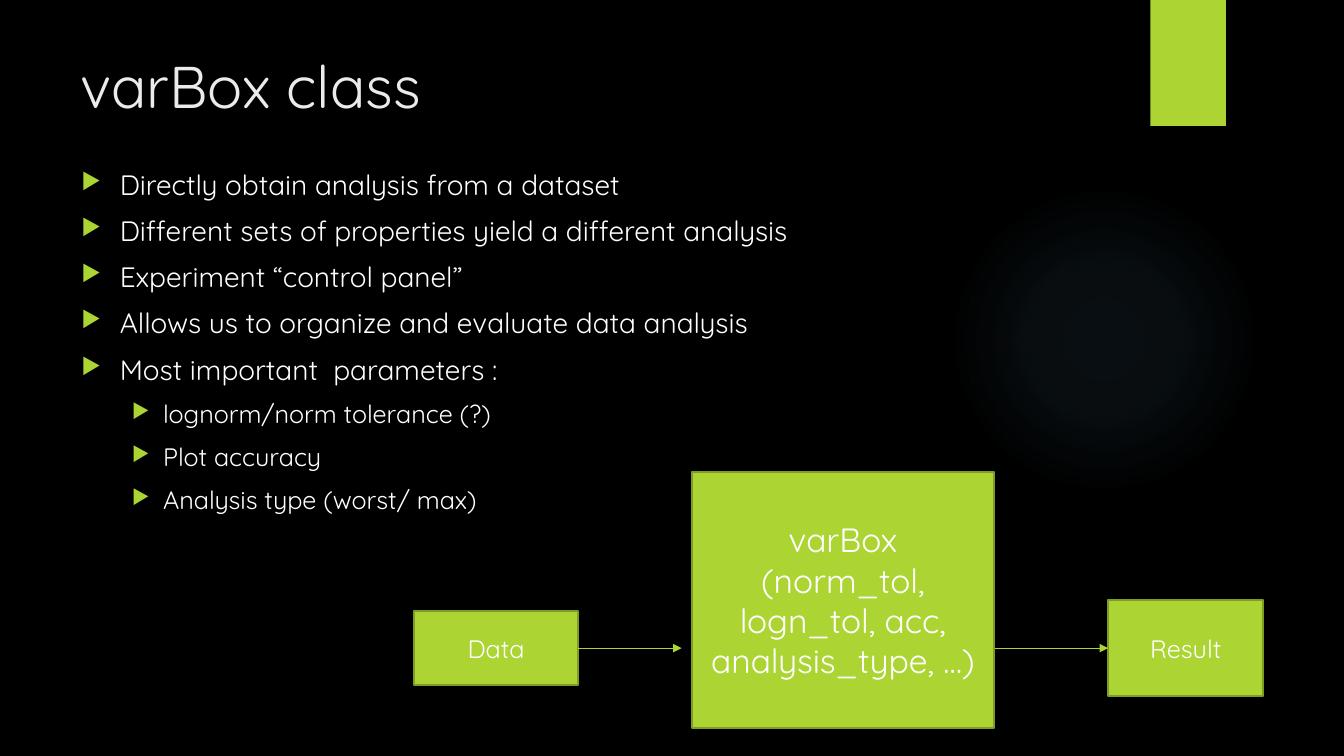
from lxml import etree
from pptx import Presentation
from pptx.dml.color import RGBColor
from pptx.enum.shapes import MSO_CONNECTOR as Connector, MSO_SHAPE as Shape
from pptx.enum.text import MSO_ANCHOR as Anchor, PP_ALIGN as Align
from pptx.oxml import parse_xml
from pptx.oxml.ns import nsdecls, qn
from pptx.util import Inches, Pt


def rgb(value):
    return RGBColor.from_string(value)


def add_xml(parent, tag, **attributes):
    return etree.SubElement(parent, qn(tag), attributes)


class Deck:
    FONT = "Quicksand"
    LIME, OLIVE, WHITE, TITLE = "ACD433", "7F9D26", "FFFFFF", "EBEBEB"

    def __init__(self, slide):
        self.slide = slide
        background = slide.background.fill
        background.solid()
        background.fore_color.rgb = rgb("000000")

    def shape(self, kind, box):
        shape = self.slide.shapes.add_shape(kind, *map(Inches, box))
        shape.shadow.inherit = False
        shape.line.fill.background()
        return shape

    def glow(self, box, color, stops):
        """Ellipse with a radial fade; stops are (position %, opacity %)."""
        properties = self.shape(Shape.OVAL, box)._element.spPr
        steps = "".join(
            f'<a:gs pos="{position * 1000}"><a:srgbClr val="{color}">'
            f'<a:alpha val="{opacity * 1000}"/></a:srgbClr></a:gs>'
            for position, opacity in stops)
        fade = parse_xml(
            f'<a:gradFill {nsdecls("a")}><a:gsLst>{steps}</a:gsLst>'
            '<a:path path="circle"><a:fillToRect l="50000" t="50000" r="50000" b="50000"/>'
            '</a:path></a:gradFill>')
        properties.find(qn("a:prstGeom")).addnext(fade)

    def block(self, box):
        block = self.shape(Shape.RECTANGLE, box)
        block.fill.solid()
        block.fill.fore_color.rgb = rgb(self.LIME)
        return block

    def node(self, box, lines, size):
        node = self.block(box)
        node.line.color.rgb = rgb(self.OLIVE)
        node.line.width = Pt(1.5)
        node.text_frame.vertical_anchor = Anchor.MIDDLE
        self.set_lines(node.text_frame, lines, size, self.WHITE, alignment=Align.CENTER)
        return node

    def set_lines(self, frame, lines, size, color, **paragraph_format):
        frame.word_wrap = True
        for index, line in enumerate(lines):
            paragraph = frame.paragraphs[0] if index == 0 else frame.add_paragraph()
            for name, value in paragraph_format.items():
                setattr(paragraph, name, value)
            run = paragraph.add_run()
            run.text = line
            font = {"name": self.FONT, "size": Pt(size), "bold": False}
            for name, value in font.items():
                setattr(run.font, name, value)
            run.font.color.rgb = rgb(color)

    def text_frame(self, box):
        return self.slide.shapes.add_textbox(*map(Inches, box)).text_frame

    def title(self, box, text):
        self.set_lines(self.text_frame(box), [text], 42, self.TITLE)

    def bullets(self, box, items):
        """Bulleted list; items are (level, text)."""
        frame = self.text_frame(box)
        self.set_lines(frame, [text for _, text in items], 20, self.WHITE,
                       space_before=Pt(9))
        styles = {0: (20, 0.38, 0.38), 1: (18, 0.81, 0.31)}
        for paragraph, (level, _) in zip(frame.paragraphs, items):
            size, margin, hanging = styles[level]
            paragraph.level = level
            paragraph.runs[0].font.size = Pt(size)
            properties = paragraph._p.get_or_add_pPr()
            properties.set("marL", str(Inches(margin)))
            properties.set("indent", str(-Inches(hanging)))
            add_xml(add_xml(properties, "a:buClr"), "a:srgbClr", val=self.LIME)
            add_xml(properties, "a:buSzPct", val="80000")
            add_xml(properties, "a:buChar", char="▶")

    def arrow(self, start, end, source=None, target=None):
        arrow = self.slide.shapes.add_connector(
            Connector.STRAIGHT, *map(Inches, (*start, *end)))
        if source:
            arrow.begin_connect(source, 3)
        if target:
            arrow.end_connect(target, 1)
        arrow.line.color.rgb = rgb(self.LIME)
        arrow.line.width = Pt(0.75)
        add_xml(arrow.line._get_or_add_ln(), "a:tailEnd", type="triangle")
        add_xml(arrow._element.spPr, "a:effectLst")


def main():
    presentation = Presentation()
    presentation.slide_width, presentation.slide_height = Inches(13.33), Inches(7.5)
    deck = Deck(presentation.slides.add_slide(presentation.slide_layouts[6]))

    deck.glow((9.41, 1.83, 3.08, 3.08), "7AC4F0", [(0, 7), (36, 6), (69, 0)])
    deck.block((11.41, 0, 0.75, 1.25))
    deck.title((0.7, 0.44, 10.29, 1.53), "varBox class")
    deck.bullets((0.71, 1.61, 11.46, 4.59), [
        (0, "Directly obtain analysis from a dataset"),
        (0, "Different sets of properties yield a different analysis"),
        (0, "Experiment “control panel”"),
        (0, "Allows us to organize and evaluate data analysis"),
        (0, "Most important  parameters :"),
        (1, "lognorm/norm tolerance (?)"),
        (1, "Plot accuracy"),
        (1, "Analysis type (worst/ max)"),
    ])

    flow_y = 6.43
    data = deck.node((4.11, flow_y - 0.37, 1.62, 0.74), ["Data"], 18)
    result = deck.node((10.99, flow_y - 0.48, 1.54, 0.96), ["Result"], 18)
    deck.arrow((5.73, flow_y), (6.76, flow_y), source=data)
    deck.arrow((9.77, flow_y), (10.99, flow_y), target=result)
    deck.node((6.86, 4.68, 3, 2.54),
              ["varBox", "(norm_tol, logn_tol, acc, analysis_type, …)"], 24)

    presentation.save("out.pptx")


if __name__ == "__main__":
    main()
